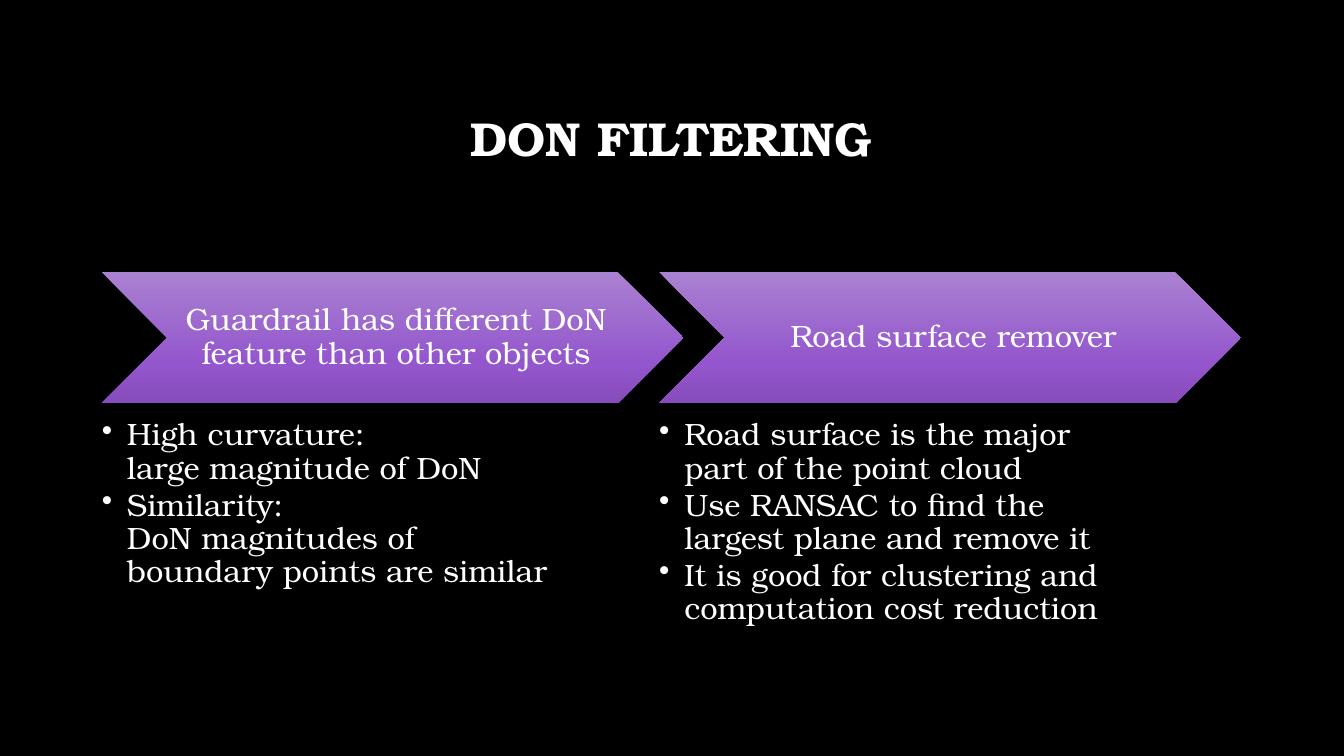
from copy import deepcopy
from dataclasses import dataclass

from lxml.etree import SubElement
from pptx import Presentation
from pptx.dml.color import RGBColor
from pptx.enum.shapes import MSO_SHAPE
from pptx.enum.text import MSO_ANCHOR, PP_ALIGN
from pptx.oxml.ns import qn
from pptx.shapes.autoshape import Shape
from pptx.slide import Slide
from pptx.text.text import TextFrame, _Paragraph
from pptx.util import Pt


@dataclass(frozen=True)
class Theme:
    font: str = "TeX Gyre Bonum"
    background: RGBColor = RGBColor(0x00, 0x00, 0x00)
    text: RGBColor = RGBColor(0xFF, 0xFF, 0xFF)
    chevron_stops: tuple[tuple[float, str], ...] = (
        (0, "A981D1"), (0.69, "9456CD"), (1, "864BBC"))
    title_size: float = 34
    body_size: float = 22


@dataclass(frozen=True)
class Box:
    left: float
    top: float
    width: float
    height: float


@dataclass(frozen=True)
class Topic:
    heading: str
    points: tuple[str, ...]


THEME = Theme()
TITLE_BOX = Box(72, 48.24, 815.04, 104.4)
CHEVRON_LEFT, CHEVRON_TOP = 72.72, 194.4
CHEVRON_WIDTH, CHEVRON_HEIGHT = 415.44, 93.6
TOPIC_PITCH = 398.16
POINTS_TOP, POINTS_WIDTH, POINTS_HEIGHT = 299.52, 332.64, 147.6
BULLET_INDENT = 18
POINT_GAP = 2.6

TOPICS = (
    Topic("Guardrail has different DoN feature than other objects", (
        "High curvature: \nlarge magnitude of DoN",
        "Similarity: \nDoN magnitudes of boundary points are similar")),
    Topic("Road surface remover", (
        "Road surface is the major part of the point cloud",
        "Use RANSAC to find the largest plane and remove it",
        "It is good for clustering and computation cost reduction")),
)


def add_text_box(slide: Slide, box: Box, margins: tuple[float, ...],
                 anchor: MSO_ANCHOR) -> TextFrame:
    """Add a wrapping text box; margins run left, top, right, bottom."""
    shape = slide.shapes.add_textbox(
        Pt(box.left), Pt(box.top), Pt(box.width), Pt(box.height))
    frame = shape.text_frame
    frame.word_wrap = True
    frame.vertical_anchor = anchor
    (frame.margin_left, frame.margin_top,
     frame.margin_right, frame.margin_bottom) = map(Pt, margins)
    return frame


def write_paragraph(paragraph: _Paragraph, text: str, size: float,
                    alignment: PP_ALIGN, bold: bool = False) -> None:
    paragraph.text = text
    paragraph.alignment = alignment
    paragraph.line_spacing = 0.9
    font = paragraph.font
    font.name, font.size, font.bold = THEME.font, Pt(size), bold
    font.color.rgb = THEME.text


def add_bullet(paragraph: _Paragraph) -> None:
    properties = paragraph._p.get_or_add_pPr()
    properties.set("marL", str(Pt(BULLET_INDENT)))
    properties.set("indent", str(-Pt(BULLET_INDENT)))
    SubElement(properties, qn("a:buChar")).set("char", "•")


def fill_with_gradient(shape: Shape) -> None:
    """Fill from top to bottom with the theme's three stops."""
    shape.fill.gradient()
    shape.fill.gradient_angle = 270
    stop_list = shape._element.spPr.find(qn("a:gradFill")).find(qn("a:gsLst"))
    stop_list.append(deepcopy(stop_list[-1]))
    for stop, (position, color) in zip(shape.fill.gradient_stops, THEME.chevron_stops):
        stop.position = position
        stop.color.rgb = RGBColor.from_string(color)


def add_chevron(slide: Slide, left: float, heading: str) -> None:
    chevron = slide.shapes.add_shape(
        MSO_SHAPE.CHEVRON, Pt(left), Pt(CHEVRON_TOP),
        Pt(CHEVRON_WIDTH), Pt(CHEVRON_HEIGHT))
    chevron.shadow.inherit = False
    chevron.line.fill.background()
    fill_with_gradient(chevron)

    notch = CHEVRON_HEIGHT / 2
    box = Box(left + notch, CHEVRON_TOP, CHEVRON_WIDTH - 2 * notch, CHEVRON_HEIGHT)
    frame = add_text_box(slide, box, (7.2, 2.16, 2.16, 2.16), MSO_ANCHOR.MIDDLE)
    write_paragraph(frame.paragraphs[0], heading, THEME.body_size, PP_ALIGN.CENTER)


def add_points(slide: Slide, left: float, points: tuple[str, ...]) -> None:
    box = Box(left, POINTS_TOP, POINTS_WIDTH, POINTS_HEIGHT)
    frame = add_text_box(slide, box, (0, 0, 0, 0), MSO_ANCHOR.TOP)
    for index, point in enumerate(points):
        paragraph = frame.add_paragraph() if index else frame.paragraphs[0]
        add_bullet(paragraph)
        write_paragraph(paragraph, point, THEME.body_size, PP_ALIGN.LEFT)
        paragraph.space_after = Pt(POINT_GAP)


def main() -> None:
    presentation = Presentation()
    presentation.slide_width, presentation.slide_height = Pt(960), Pt(540)
    slide = presentation.slides.add_slide(presentation.slide_layouts[6])
    slide.background.fill.solid()
    slide.background.fill.fore_color.rgb = THEME.background

    title = add_text_box(slide, TITLE_BOX, (7.2, 3.6, 7.2, 3.6), MSO_ANCHOR.MIDDLE)
    write_paragraph(title.paragraphs[0], "DON FILTERING", THEME.title_size,
                    PP_ALIGN.CENTER, bold=True)

    for index, topic in enumerate(TOPICS):
        left = CHEVRON_LEFT + index * TOPIC_PITCH
        add_chevron(slide, left, topic.heading)
        add_points(slide, left, topic.points)

    presentation.save("out.pptx")


if __name__ == "__main__":
    main()
